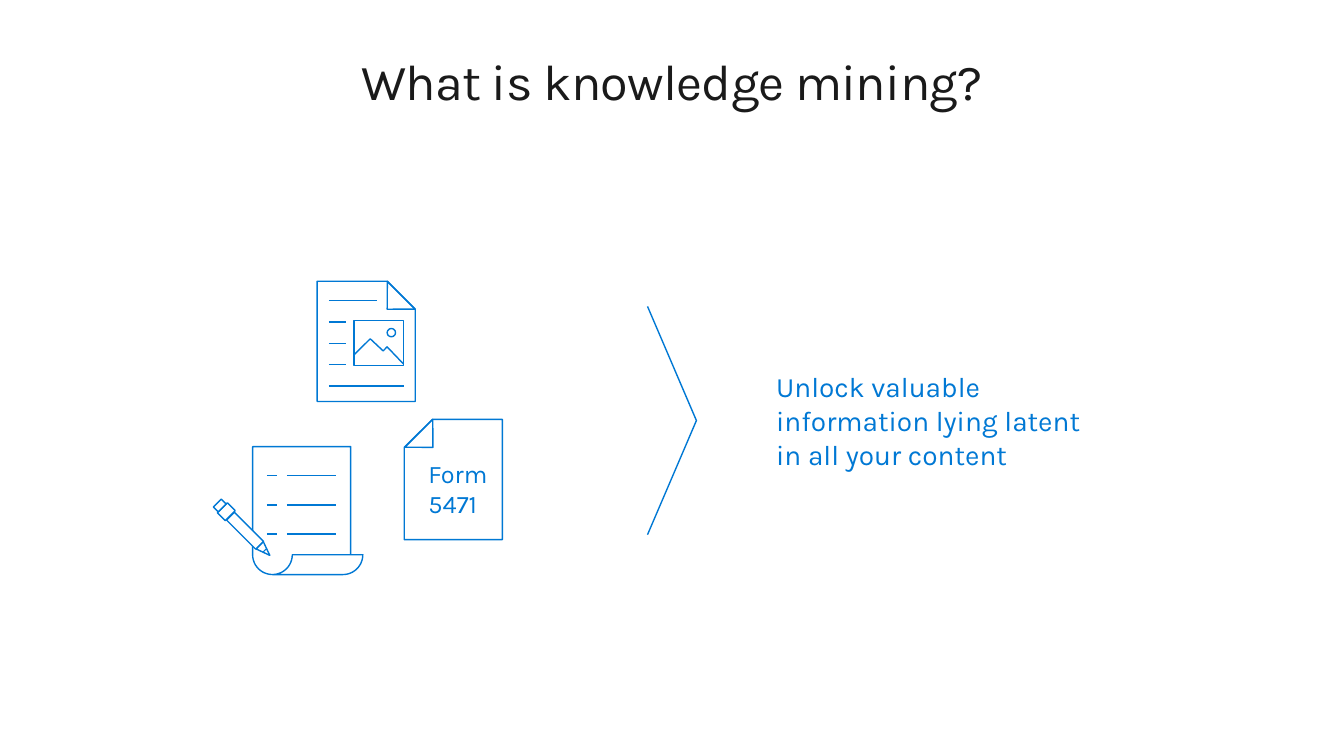
import math
from dataclasses import dataclass

from lxml import etree
from pptx import Presentation
from pptx import util as u
from pptx.dml.color import RGBColor
from pptx.enum import shapes, text
from pptx.oxml.ns import qn

BLUE, INK, WHITE = "0078D4", "1A1A1A", "FFFFFF"
FONT = "Karla"
PRESET = shapes.MSO_SHAPE


@dataclass
class Box:
    left: float
    top: float
    width: float
    height: float

    def point(self, column, row):
        return (u.Emu(round(self.left + self.width * column / 100)),
                u.Emu(round(self.top + self.height * row / 100)))

    def area(self, column, row, columns, rows):
        left, top = self.point(column, row)
        return Box(left, top, round(self.width * columns / 100),
                   round(self.height * rows / 100))

    def frame(self):
        return self.left, self.top, self.width, self.height


def color(value):
    return RGBColor.from_string(value)


def outline(shape, weight=1):
    shape.line.color.rgb = color(BLUE)
    shape.line.width = u.Pt(weight)


def add_preset(group, kind, box, rotation=0, fill=None):
    shape = group.add_shape(kind, *box.frame())
    shape.shadow.inherit = False
    shape.rotation = rotation
    if fill:
        shape.fill.solid()
        shape.fill.fore_color.rgb = color(fill)
    else:
        shape.fill.background()
    outline(shape)
    return shape


def add_outline(group, box, points):
    corners = [box.point(*point) for point in points]
    builder = group.build_freeform(*corners[0], scale=1.0)
    builder.add_line_segments(corners[1:], close=False)
    shape = builder.convert_to_shape()
    shape.shadow.inherit = False
    shape.fill.background()
    outline(shape)


def add_line(group, box, start, end, weight=1):
    connector = group.add_connector(shapes.MSO_CONNECTOR.STRAIGHT,
                                    *box.point(*start), *box.point(*end))
    outline(connector, weight)
    etree.SubElement(connector._element.spPr, qn("a:effectLst"))


def add_words(group, box, words, size, ink=BLUE, align=text.PP_ALIGN.LEFT,
              inset=True):
    shape = group.add_textbox(*box.frame())
    frame = shape.text_frame
    frame.word_wrap = True
    if not inset:
        frame.margin_left = frame.margin_right = 0
        frame.margin_top = frame.margin_bottom = 0
    paragraph = frame.paragraphs[0]
    paragraph.alignment = align
    run = paragraph.add_run()
    run.text = words
    run.font.name = FONT
    run.font.size = u.Pt(size)
    run.font.color.rgb = color(ink)
    return run


def add_title(slide, box):
    run = add_words(slide.shapes, box, "What is knowledge mining?", 36, INK,
                    text.PP_ALIGN.CENTER, inset=False)
    run._r.get_or_add_rPr().set("spc", "-50")


def add_page(group, box, mirrored=False):
    page = add_preset(group, PRESET.SNIP_1_RECTANGLE, box)
    page.adjustments[0] = 0.287
    if mirrored:
        page._element.spPr.xfrm.set("flipH", "1")
    add_preset(group, PRESET.ISOSCELES_TRIANGLE,
               box.area(2 if mirrored else 58.5, 9.2, 40, 16.5),
               135 if mirrored else 225)


def add_illustrated_page(slide, box):
    group = slide.shapes.add_group_shape().shapes
    add_page(group, box)
    for index, end in enumerate((61, 29, 29, 29, 88)):
        row = 16 + 17.8 * index
        add_line(group, box, (12, row), (end, row))
    photo = box.area(37.5, 32.6, 50.5, 37.4)
    add_preset(group, PRESET.RECTANGLE, photo)
    add_outline(group, photo,
                [(100, 97), (67, 59), (59, 68), (33, 41), (0, 77)])
    add_preset(group, PRESET.OVAL, photo.area(67, 18, 17, 18.5))


def add_form(slide, box):
    group = slide.shapes.add_group_shape().shapes
    add_words(group, box.area(24.7, 32, 70, 51), "Form 5471", 18, inset=False)
    add_page(group, box, mirrored=True)


def arc(center, start, end, steps=24):
    angles = [math.radians(start + (end - start) * step / steps)
              for step in range(steps + 1)]
    return [(center + 18 * math.cos(angle), 84.5 + 15.5 * math.sin(angle))
            for angle in angles]


def add_pencil(group, box):
    pieces = [
        (PRESET.RECTANGLE, (-11.9, 49.6, 10.1, 32.3), 315),
        (PRESET.ISOSCELES_TRIANGLE, (6.4, 75.6, 9.2, 11), 135),
        (PRESET.RECTANGLE, (-30.3, 46.5, 12.8, 8.7), 315),
        (PRESET.RECTANGLE, (-34.9, 43.3, 10.1, 5.5), 315),
    ]
    for kind, place, rotation in pieces:
        add_preset(group, kind, box.area(*place), rotation, WHITE)
    add_line(group, box, (9.2, 82.7), (12.8, 79.5), 0.75)


def add_scroll(slide, box):
    group = slide.shapes.add_group_shape().shapes
    add_outline(group, box, [(18, 100), *arc(82, 90, 0), *arc(18, 0, 180),
                             (0, 0), (89, 0), (89, 84.5)])
    for index in range(3):
        row = 22.8 * (index + 1)
        for start, end in ((13, 22), (31, 76)):
            add_line(group, box, (start, row), (end, row))
    add_pencil(group, box)


def add_chevron(slide, box):
    add_outline(slide.shapes, box, [(0, 0), (100, 50), (0, 100)])


def add_answer(slide, box):
    add_words(slide.shapes, box,
              "Unlock valuable information lying latent in all your content", 20)


def main():
    presentation = Presentation()
    presentation.slide_width = u.Inches(13.33)
    presentation.slide_height = u.Inches(7.5)
    slide = presentation.slides.add_slide(presentation.slide_layouts[6])
    page = Box(0, 0, presentation.slide_width, presentation.slide_height)
    add_answer(slide, page.area(57.01, 48.27, 24.23, 14.8))
    add_chevron(slide, page.area(48.18, 40.53, 3.64, 30.2))
    add_title(slide, page.area(4.8, 6.67, 90.4, 8.13))
    add_scroll(slide, page.area(18.8, 59.07, 8.2, 16.93))
    add_illustrated_page(slide, page.area(23.6, 37.2, 7.3, 15.9))
    add_form(slide, page.area(30.08, 55.47, 7.3, 15.9))
    presentation.save("out.pptx")


if __name__ == "__main__":
    main()
